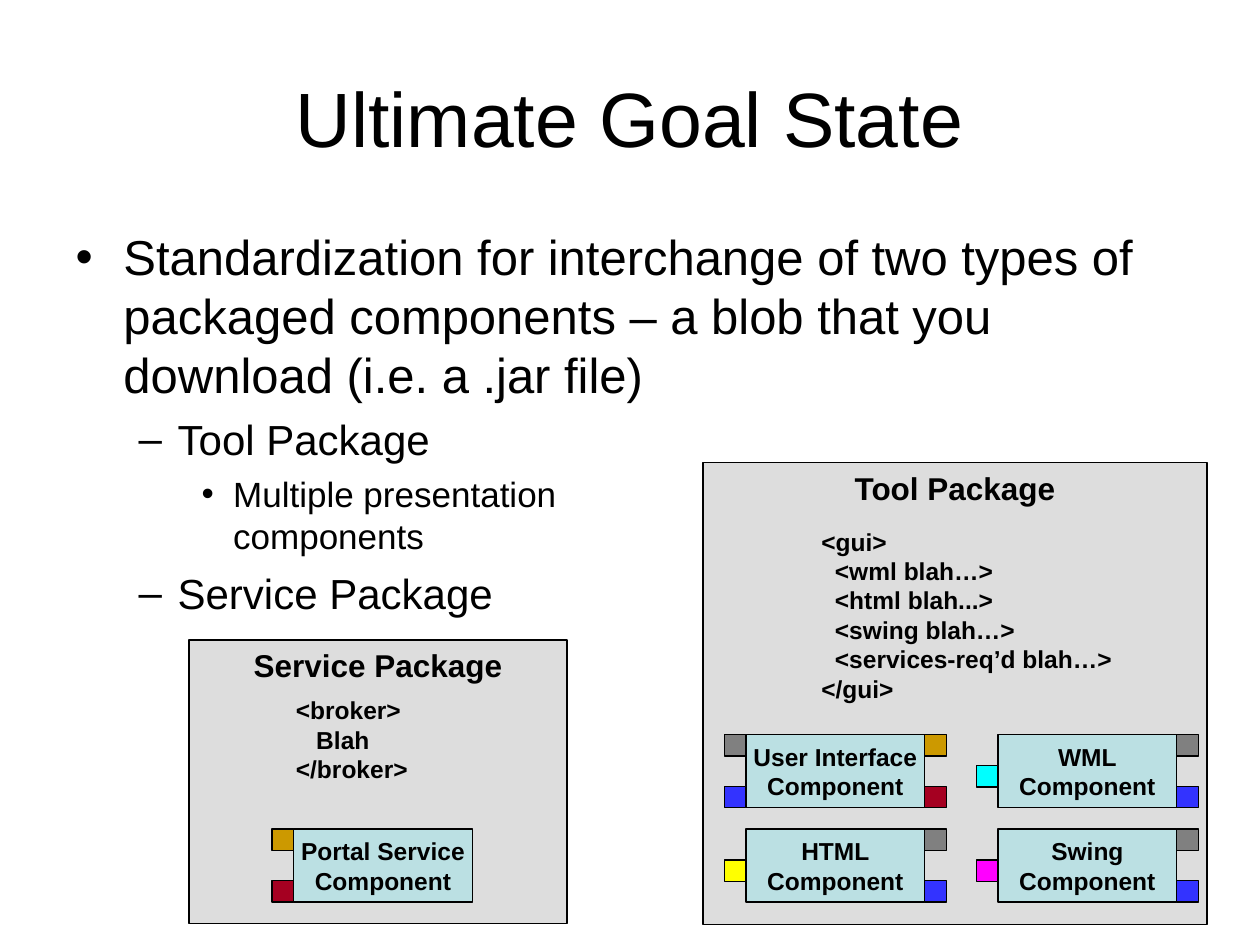
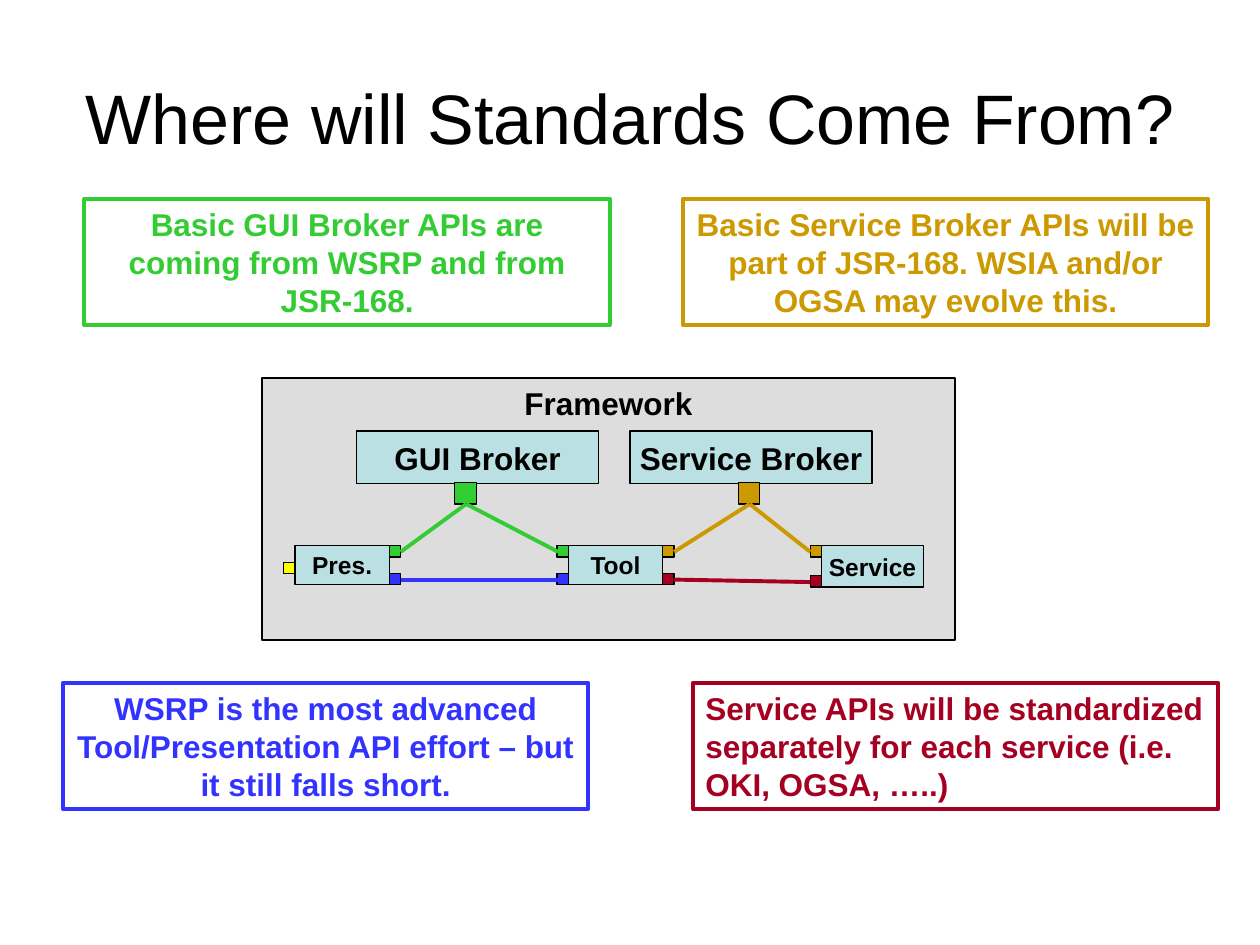
"""Build two slides on packaged components and the standards between them."""
import copy

import pptx
import pptx.dml.color
import pptx.enum.shapes
import pptx.enum.text
import pptx.oxml.ns
import pptx.util

Inches = pptx.util.Inches
Pt = pptx.util.Pt
RGBColor = pptx.dml.color.RGBColor
Align = pptx.enum.text.PP_ALIGN
Anchor = pptx.enum.text.MSO_ANCHOR

BLACK = RGBColor(0x00, 0x00, 0x00)
PANEL = RGBColor(0xDD, 0xDD, 0xDD)
PALE_BLUE = RGBColor(0xBB, 0xE0, 0xE3)
GREY = RGBColor(0x80, 0x80, 0x80)
GREEN = RGBColor(0x33, 0xCC, 0x33)
BLUE = RGBColor(0x33, 0x33, 0xFF)
GOLD = RGBColor(0xCC, 0x99, 0x00)
RED = RGBColor(0xA5, 0x00, 0x21)
CYAN = RGBColor(0x00, 0xFF, 0xFF)
MAGENTA = RGBColor(0xFF, 0x00, 0xFF)
YELLOW = RGBColor(0xFF, 0xFF, 0x00)

TOP, MIDDLE, BOTTOM = 0, 0.6, 1
PORT, SMALL_PORT = 0.17, 0.09
PART_WIDTH, PART_HEIGHT = 1.42, 0.58

LEVELS = [
    {"size": 28, "margin": 0.38, "hang": 0.38, "before": 7},
    {"size": 24, "margin": 0.81, "hang": 0.31, "before": 6},
    {"size": 20, "margin": 1.25, "hang": 0.25, "before": 5},
]


def assign(target, values):
    """Set each attribute of target from a dict of format values."""
    for name, value in values.items():
        setattr(target, name, value)


def write(paragraph, text, size, bold=False, color=BLACK):
    """Put formatted Arial text in a paragraph, line breaks included."""
    paragraph.text = text
    for span in paragraph.runs:
        assign(span.font, {"name": "Arial", "size": Pt(size), "bold": bold})
        span.font.color.rgb = color
    for line_break in paragraph._p.iterfind(pptx.oxml.ns.qn("a:br")):
        line_break.append(copy.deepcopy(paragraph.runs[0]._r.rPr))


def fill_frame(frame, lines, size, align=Align.CENTER, anchor=Anchor.MIDDLE,
               wrap=False, color=BLACK):
    """Write bold lines, one paragraph each, into a text frame."""
    assign(frame, {"word_wrap": wrap, "vertical_anchor": anchor})
    for index, line in enumerate(lines):
        paragraph = frame.add_paragraph() if index else frame.paragraphs[0]
        paragraph.alignment = align
        write(paragraph, line, size, True, color)


def add_block(parent, left, top, width, height, fill=None, line=BLACK, weight=0.75):
    """Add an outlined rectangle, hollow unless a fill is given."""
    block = parent.shapes.add_shape(
        pptx.enum.shapes.MSO_SHAPE.RECTANGLE,
        Inches(left), Inches(top), Inches(width), Inches(height))
    block.shadow.inherit = False
    if fill is None:
        block.fill.background()
    else:
        block.fill.solid()
        block.fill.fore_color.rgb = fill
    block.line.color.rgb = line
    block.line.width = Pt(weight)
    return block


def add_panel(page, left, top, width, height, heading):
    """Add a grouped grey panel with its heading at the top."""
    panel = page.shapes.add_group_shape()
    block = add_block(panel, left, top, width, height, PANEL)
    fill_frame(block.text_frame, [heading], 18, anchor=Anchor.TOP)
    return panel


def add_component(parent, left, top, width, height, lines, ports, port=PORT, size=14):
    """Add a labelled component with coloured ports at its sides."""
    block = add_block(parent, left, top, width, height, PALE_BLUE)
    fill_frame(block.text_frame, lines, size)
    for side, row, color in ports:
        port_left = left - port if side == "left" else left + width
        add_block(parent, port_left, top + row * (height - port), port, port, color)


def add_code(parent, left, top, width, height, lines):
    """Add a descriptor listing."""
    box = parent.shapes.add_textbox(
        Inches(left), Inches(top), Inches(width), Inches(height))
    fill_frame(box.text_frame, lines, 14, Align.LEFT, Anchor.TOP, True)


def add_wire(parent, start, end, color):
    """Join two ports with a coloured line."""
    wire = parent.shapes.add_connector(
        pptx.enum.shapes.MSO_CONNECTOR.STRAIGHT,
        *(Inches(value) for value in (*start, *end)))
    wire.line.color.rgb = color
    wire.line.width = Pt(2.25)
    wire._element.spPr.append(pptx.oxml.parse_xml(
        f"<a:effectLst {pptx.oxml.ns.nsdecls('a')}/>"))


def add_page(deck, layout, heading, size):
    """Add a slide with its centred title."""
    page = deck.slides.add_slide(deck.slide_layouts[layout])
    title = page.shapes.title
    assign(title, {"left": Inches(0.5), "top": Inches(0.3),
                   "width": Inches(9), "height": Inches(1.25)})
    assign(title.text_frame, {"vertical_anchor": Anchor.MIDDLE,
                              "auto_size": pptx.enum.text.MSO_AUTO_SIZE.NONE})
    paragraph = title.text_frame.paragraphs[0]
    paragraph.alignment = Align.CENTER
    write(paragraph, heading, size)
    return page


def fill_body(body, items):
    """Place the body placeholder and write its levelled list."""
    assign(body, {"left": Inches(0.5), "top": Inches(1.75),
                  "width": Inches(9), "height": Inches(3.33)})
    frame = body.text_frame
    frame.auto_size = pptx.enum.text.MSO_AUTO_SIZE.NONE
    for index, (level, text) in enumerate(items):
        paragraph = frame.add_paragraph() if index else frame.paragraphs[0]
        look = LEVELS[level]
        assign(paragraph, {"level": level,
                           "space_before": Pt(look["before"] if index else 0)})
        properties = paragraph._p.get_or_add_pPr()
        properties.set("marL", str(Inches(look["margin"])))
        properties.set("indent", str(-Inches(look["hang"])))
        write(paragraph, text, look["size"])


def draw_service_package(page, left, top):
    """Draw the service package with its descriptor and one component."""
    panel = add_panel(page, left, top, 3, 2.25, "Service Package")
    add_component(panel, left + 0.83, top + 1.5, PART_WIDTH, PART_HEIGHT,
                  ["Portal Service", "Component"],
                  [("left", BOTTOM, RED), ("left", TOP, GOLD)])
    add_code(panel, left + 0.75, top + 0.39, 1.3, 0.8,
             ["<broker>", "   Blah", "</broker>"])


def draw_tool_package(page, left, top):
    """Draw the tool package with its descriptor and a grid of components."""
    panel = add_panel(page, left, top, 4, 3.67, "Tool Package")
    add_code(panel, left + 0.84, top + 0.46, 3.08, 1.5,
             ["<gui>", "  <wml blah…>", "  <html blah...>", "  <swing blah…>",
              "  <services-req’d blah…>", "</gui>"])
    tool_ports = [("right", BOTTOM, BLUE), ("right", TOP, GREY)]
    components = [
        ("User Interface", [("left", BOTTOM, BLUE), ("right", BOTTOM, RED),
                            ("right", TOP, GOLD), ("left", TOP, GREY)]),
        ("WML", tool_ports + [("left", MIDDLE, CYAN)]),
        ("HTML", tool_ports + [("left", MIDDLE, YELLOW)]),
        ("Swing", tool_ports + [("left", MIDDLE, MAGENTA)]),
    ]
    for index, (name, ports) in enumerate(components):
        row, column = divmod(index, 2)
        add_component(panel, left + 0.34 + 2 * column, top + 2.16 + 0.75 * row,
                      PART_WIDTH, PART_HEIGHT, [name, "Component"], ports)


def draw_framework(page, left, top):
    """Draw the framework, its brokers and modules, and their wiring."""
    panel = add_panel(page, left, top, 5.5, 2.08, "Framework")
    brokers = [("GUI Broker", 0.75, 1.53, GREEN), ("Service Broker", 2.92, 3.78, GOLD)]
    for name, offset, port_offset, color in brokers:
        add_component(panel, left + offset, top + 0.42, 1.92, 0.42, [name], [], size=18)
        add_block(panel, left + port_offset, top + 0.83, PORT, PORT, color)
    modules = [
        ("Pres.", 0.26, 0.75, 0.31,
         [("right", BOTTOM, BLUE), ("left", MIDDLE, YELLOW), ("right", TOP, GREEN)]),
        ("Tool", 2.43, 0.75, 0.31,
         [("left", BOTTOM, BLUE), ("right", BOTTOM, RED),
          ("right", TOP, GOLD), ("left", TOP, GREEN)]),
        ("Service", 4.44, 0.81, 0.33, [("left", BOTTOM, RED), ("left", TOP, GOLD)]),
    ]
    for name, offset, width, height, ports in modules:
        add_component(panel, left + offset, top + 1.33, width, height,
                      [name], ports, SMALL_PORT)
    wires = [
        ((3.87, 1), (4.35, 1.38), GOLD),
        ((3.87, 1), (3.27, 1.38), GOLD),
        ((4.35, 1.62), (3.27, 1.6), RED),
        ((1.62, 1), (2.35, 1.38), GREEN),
        ((1.1, 1.6), (2.35, 1.6), BLUE),
        ((1.1, 1.38), (1.62, 1), GREEN),
    ]
    for start, end, color in wires:
        points = [(left + across, top + down) for across, down in (start, end)]
        add_wire(panel, *points, color)


def draw_callout(page, left, top, text, color, align=Align.CENTER):
    """Draw a note framed in the colour of the interface it explains."""
    block = add_block(page, left, top, 4.17, 1, line=color, weight=2.25)
    fill_frame(block.text_frame, [text], 18, align, Anchor.TOP, True, color)


def build_goal_page(deck):
    """Build the slide on the two package types."""
    page = add_page(deck, 1, "Ultimate Goal State", 44)
    fill_body(page.placeholders[1], [
        (0, "Standardization for interchange of two types of packaged components "
            "– a blob that you download (i.e. a .jar file)"),
        (1, "Tool Package"),
        (2, "Multiple presentation \vcomponents"),
        (1, "Service Package"),
    ])
    draw_service_package(page, 1.5, 5.08)
    draw_tool_package(page, 5.58, 3.67)


def build_standards_page(deck):
    """Build the slide on where each interface standard comes from."""
    page = add_page(deck, 5, "Where will Standards Come From?", 40)
    draw_framework(page, 2.08, 3)
    draw_callout(page, 5.5, 5.42, "Service APIs will be standardized separately for "
                 "each service (i.e. OKI, OGSA, …..)", RED, Align.LEFT)
    draw_callout(page, 5.42, 1.58, "Basic Service Broker APIs will be part of JSR-168. "
                 "WSIA and/or OGSA may evolve this.", GOLD)
    draw_callout(page, 0.67, 1.58, "Basic GUI Broker APIs are coming from WSRP and "
                 "from JSR-168.", GREEN)
    draw_callout(page, 0.5, 5.42, "WSRP is the most advanced Tool/Presentation API "
                 "effort – but it still falls short.", BLUE)


def main():
    """Build and save the deck."""
    deck = pptx.Presentation()
    assign(deck, {"slide_width": Inches(10), "slide_height": Inches(7.5)})
    build_goal_page(deck)
    build_standards_page(deck)
    deck.save("out.pptx")


if __name__ == "__main__":
    main()
